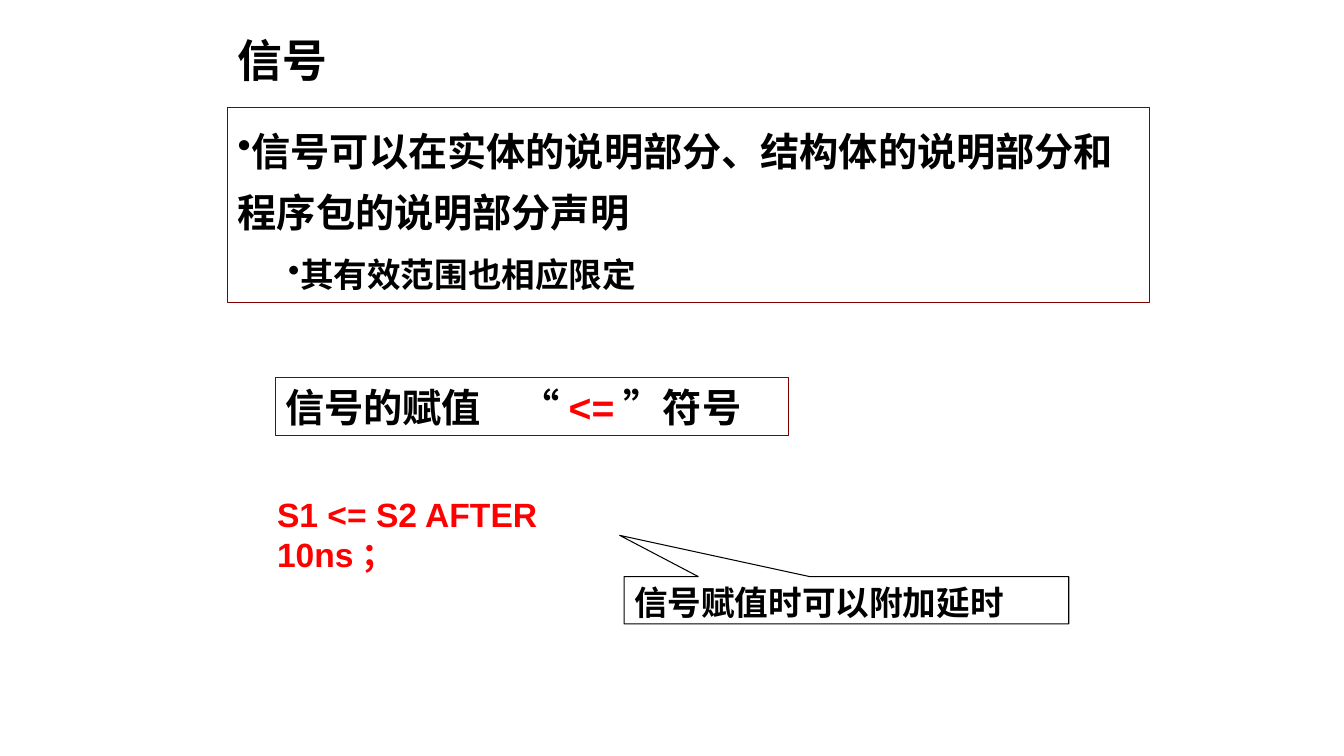
import dataclasses

import pptx
import pptx.dml.color
import pptx.enum.shapes
import pptx.enum.text
import pptx.oxml
import pptx.oxml.ns
import pptx.util
from pptx.util import Inches

SHAPES = pptx.enum.shapes.MSO_SHAPE


@dataclasses.dataclass(frozen=True)
class Theme:
    font: str = "Arial"
    ink: str = "000000"
    accent: str = "FF0000"
    frame: str = "800000"
    paper: str = "FFFFFF"
    title: int = 32
    body: int = 28
    detail: int = 24
    line: float = 0.75


class SlideBuilder:
    def __init__(self, slide, theme):
        self.slide = slide
        self.theme = theme

    def color(self, value):
        return pptx.dml.color.RGBColor.from_string(value)

    def prepare(self, shape, wrap=True, grow=True):
        frame = shape.text_frame
        frame.word_wrap = wrap
        frame.vertical_anchor = pptx.enum.text.MSO_ANCHOR.TOP
        sizes = pptx.enum.text.MSO_AUTO_SIZE
        frame.auto_size = sizes.SHAPE_TO_FIT_TEXT if grow else sizes.NONE
        return shape

    def text_box(self, left, top, width, height, wrap=True):
        box = self.slide.shapes.add_textbox(
            Inches(left), Inches(top), Inches(width), Inches(height))
        return self.prepare(box, wrap)

    def box(self, kind, left, top, width, height, line, fill=None, grow=True):
        shape = self.slide.shapes.add_shape(
            kind, Inches(left), Inches(top), Inches(width), Inches(height))
        shape.shadow.inherit = False
        if fill:
            shape.fill.solid()
            shape.fill.fore_color.rgb = self.color(fill)
        else:
            shape.fill.background()
        shape.line.color.rgb = self.color(line)
        shape.line.width = pptx.util.Pt(self.theme.line)
        return self.prepare(shape, grow=grow)

    def add_text(self, paragraph, size, runs, before=20, spacing=None, bullet=False, indent=0):
        paragraph.alignment = pptx.enum.text.PP_ALIGN.LEFT
        if spacing:
            paragraph.line_spacing = spacing
        properties = paragraph._p.get_or_add_pPr()
        namespace = pptx.oxml.ns.nsdecls("a")
        properties.append(pptx.oxml.parse_xml(
            f'<a:spcBef {namespace}><a:spcPct val="{before * 1000}"/></a:spcBef>'))
        if bullet:
            properties.set("marL", str(Inches(indent)))
            properties.set("indent", "0")
            properties.append(pptx.oxml.parse_xml(f'<a:buChar {namespace} char="•"/>'))
        for text, color in runs:
            run = paragraph.add_run()
            run.text = text
            run.font.name = self.theme.font
            run.font.size = pptx.util.Pt(size)
            run.font.bold = True
            run.font.color.rgb = self.color(color)


def main():
    theme = Theme()
    presentation = pptx.Presentation()
    presentation.slide_width = Inches(13.33)
    presentation.slide_height = Inches(7.5)
    slide = presentation.slides.add_slide(presentation.slide_layouts[6])
    builder = SlideBuilder(slide, theme)

    title = builder.text_box(2.26, 0.28, 1.09, 0.64, wrap=False)
    builder.add_text(title.text_frame.paragraphs[0], theme.title, [("信号", theme.ink)])

    scope = builder.box(SHAPES.RECTANGLE, 2.26, 1.07, 9.14, 1.93, theme.frame)
    builder.add_text(
        scope.text_frame.paragraphs[0], theme.body,
        [("信号可以在实体的说明部分、结构体的说明部分和程序包的说明部分声明", theme.ink)],
        spacing=1.3, bullet=True)
    detail = scope.text_frame.add_paragraph()
    detail.level = 1
    builder.add_text(detail, theme.detail, [("其有效范围也相应限定", theme.ink)],
                     spacing=1.3, bullet=True, indent=0.5)

    assignment = builder.box(SHAPES.RECTANGLE, 2.73, 3.75, 5.09, 0.57, theme.frame)
    builder.add_text(
        assignment.text_frame.paragraphs[0], theme.body,
        [("信号的赋值　“", theme.ink), ("<=", theme.accent), ("”符号", theme.ink)])

    example = builder.text_box(2.65, 4.85, 4.24, 0.5)
    example.text_frame.margin_right = Inches(0.6)
    builder.add_text(example.text_frame.paragraphs[0], theme.detail,
                     [("S1 <= S2 AFTER 10ns；", theme.accent)])

    callout = builder.box(SHAPES.RECTANGULAR_CALLOUT, 6.19, 5.72, 4.41, 0.47,
                          theme.ink, fill=theme.paper, grow=False)
    callout.adjustments[0] = -0.51
    callout.adjustments[1] = -1.37
    builder.add_text(callout.text_frame.paragraphs[0], theme.detail,
                     [("信号赋值时可以附加延时", theme.ink)], before=50)

    presentation.save("out.pptx")


if __name__ == "__main__":
    main()
